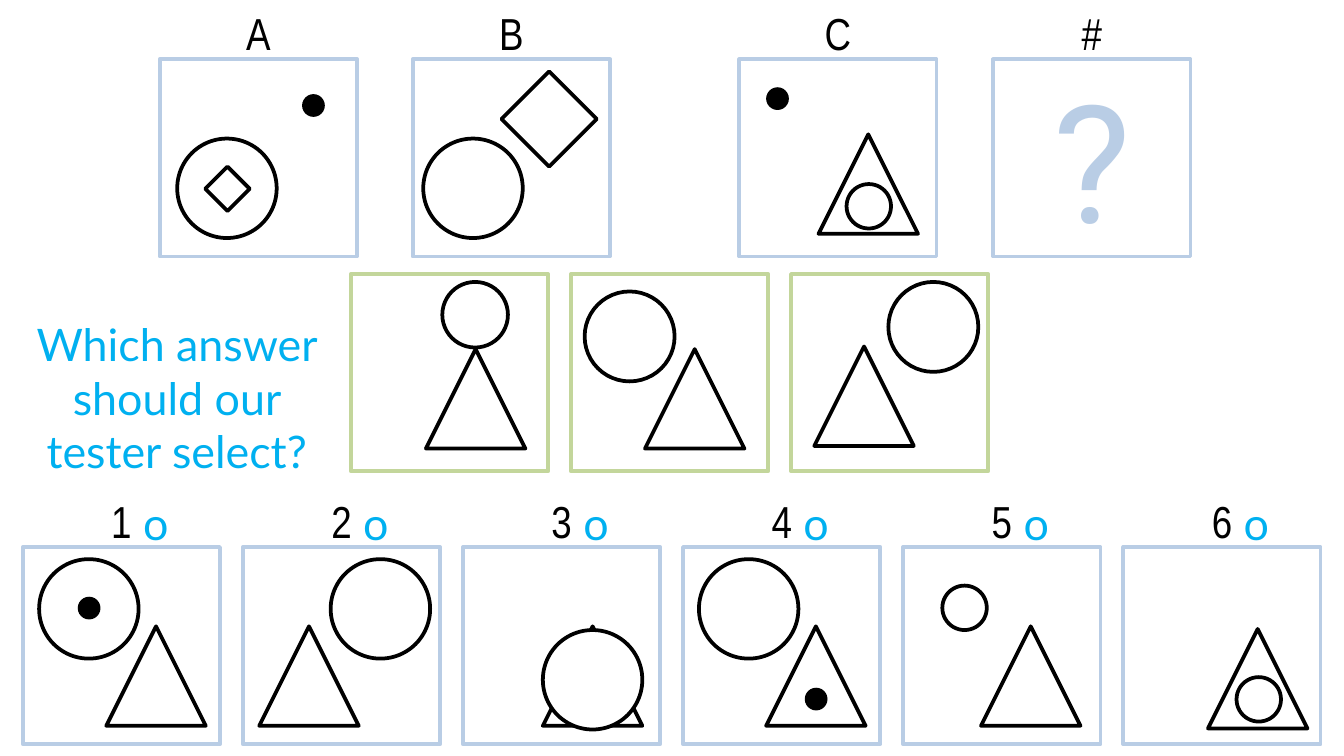
from pptx import Presentation
from pptx.dml.color import RGBColor
from pptx.enum.shapes import MSO_SHAPE
from pptx.enum.text import MSO_ANCHOR, MSO_AUTO_SIZE, PP_ALIGN
from pptx.util import Cm, Pt

COLORS = {"black": "000000", "white": "FFFFFF", "blue": "B9CDE5",
          "green": "C3D69B", "accent": "00B0F0"}
KINDS = {"circle": MSO_SHAPE.OVAL, "dot": MSO_SHAPE.OVAL,
         "triangle": MSO_SHAPE.ISOSCELES_TRIANGLE, "diamond": MSO_SHAPE.DIAMOND}
PANEL, PITCH, LABEL_H = 3.73, 4.16, 1.02
BIG, SMALL, DOT = 1.88, 0.84, 0.43
TOP_Y, MIDDLE_Y, BOTTOM_Y = 1.12, 5.18, 10.34

QUESTION_ROW = [
    ("A", 3.02, [("circle", 0.33, 1.5, BIG), ("diamond", 0.86, 2.03, SMALL),
                 ("dot", 2.69, 0.66, DOT)]),
    ("B", 7.8, [("circle", 0.2, 1.5, BIG), ("diamond", 1.68, 0.23, 1.8)]),
    ("C", 13.97, [("triangle", 1.5, 1.42, BIG), ("dot", 0.51, 0.53, DOT),
                  ("circle", 2.03, 2.36, SMALL)]),
    ("#", 18.77, []),
]
CANDIDATES = [
    [("triangle", 1.42, 1.42, BIG), ("circle", 1.73, 0.15, 1.24)],
    [("triangle", 1.4, 1.42, BIG), ("circle", 0.26, 0.33, 1.7)],
    [("triangle", 0.44, 1.37, BIG), ("circle", 1.84, 0.15, 1.7)],
]
ANSWERS = [
    [("triangle", 1.58, 1.5, BIG), ("circle", 0.31, 0.23, BIG), ("dot", 1.04, 0.94, DOT)],
    [("triangle", 0.31, 1.5, BIG), ("circle", 1.66, 0.23, BIG)],
    [("triangle", 1.51, 1.5, BIG), ("circle", 1.51, 1.57, BIG)],
    [("triangle", 1.57, 1.5, BIG), ("circle", 0.3, 0.23, BIG), ("dot", 2.3, 2.66, DOT)],
    [("circle", 0.74, 0.73, SMALL), ("triangle", 1.47, 1.5, BIG)],
    [("triangle", 1.6, 1.55, BIG), ("circle", 2.14, 2.46, SMALL)],
]


def rgb(name):
    """Return the named colour."""
    return RGBColor.from_string(COLORS[name])


def add_outline(s, kind, x, y, size, line=None, fill=None):
    """Add a square-sized preset shape without shadow."""
    sp = s.shapes.add_shape(kind, Cm(x), Cm(y), Cm(size), Cm(size))
    sp.shadow.inherit = False
    if fill:
        sp.fill.solid()
        sp.fill.fore_color.rgb = rgb(fill)
    else:
        sp.fill.background()
    if line:
        sp.line.color.rgb = rgb(line)
        sp.line.width = Pt(2)
    else:
        sp.line.fill.background()
    return sp


def add_panel(s, x, y, figures, line="blue"):
    """Add a frame and the figures placed relative to its corner."""
    sp = add_outline(s, MSO_SHAPE.RECTANGLE, x, y, PANEL, line)
    for kind, dx, dy, size in figures:
        style = {"fill": "black"} if kind == "dot" else {"fill": "white", "line": "black"}
        add_outline(s, KINDS[kind], x + dx, y + dy, size, **style)
    return sp


def write(sp, text, size, font, color):
    """Write one centred run into a shape."""
    p = sp.text_frame.paragraphs[0]
    p.alignment = PP_ALIGN.CENTER
    r = p.add_run()
    r.text = text
    for name, value in {"size": Pt(size), "name": font}.items():
        setattr(r.font, name, value)
    r.font.color.rgb = rgb(color)


def add_text(s, text, box, font, color, **frame):
    """Add a wrapped text box with no side insets."""
    sp = s.shapes.add_textbox(*map(Cm, box))
    defaults = {"word_wrap": True, "margin_left": 0, "margin_right": 0}
    for name, value in (defaults | frame).items():
        setattr(sp.text_frame, name, value)
    write(sp, text, 24, font, color)


def add_label(s, text, x, y, font="Arial Narrow", color="black"):
    """Add a label standing on the top edge of a panel."""
    add_text(s, text, (x, y - LABEL_H, PANEL, LABEL_H), font, color,
             margin_top=0, margin_bottom=0, vertical_anchor=MSO_ANCHOR.BOTTOM,
             auto_size=MSO_AUTO_SIZE.SHAPE_TO_FIT_TEXT)


def main():
    """Build the analogy puzzle slide."""
    prs = Presentation()
    prs.slide_width, prs.slide_height = Cm(25.4), Cm(14.29)
    s = prs.slides.add_slide(prs.slide_layouts[6])

    for label, x, figures in QUESTION_ROW:
        sp = add_panel(s, x, TOP_Y, figures)
        add_label(s, label, x, TOP_Y)
        if label == "#":
            sp.text_frame.vertical_anchor = MSO_ANCHOR.MIDDLE
            write(sp, "?", 88, "Roboto", "blue")

    for i, figures in enumerate(CANDIDATES):
        add_panel(s, 6.63 + i * PITCH, MIDDLE_Y, figures, "green")
    add_text(s, "Which answer should our tester select?", (0.43, 5.44, 5.82, 4.14),
             "Lato", "accent", vertical_anchor=MSO_ANCHOR.MIDDLE)

    for i, figures in enumerate(ANSWERS):
        x = 0.43 + i * PITCH
        add_panel(s, x, BOTTOM_Y, figures)
        add_label(s, str(i + 1), x, BOTTOM_Y)
        add_label(s, "ο", x + 0.65, BOTTOM_Y + 0.05, "Lato", "accent")

    prs.save("out.pptx")


if __name__ == "__main__":
    main()
